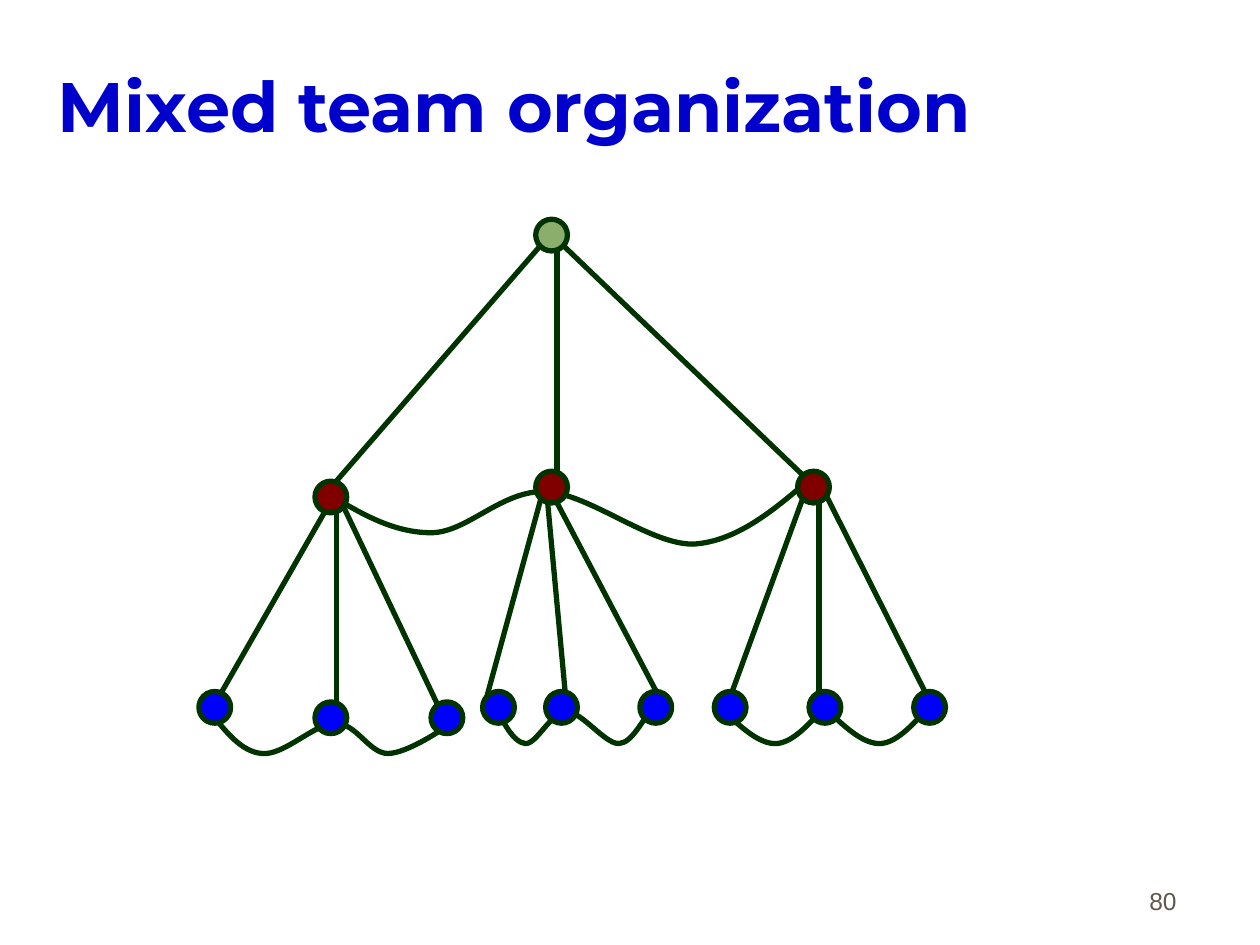
from dataclasses import dataclass

from lxml.etree import SubElement
from pptx import Presentation
from pptx.dml.color import RGBColor as RGB
from pptx.enum.shapes import MSO_CONNECTOR as Link, MSO_SHAPE as Shape
from pptx.enum.text import MSO_ANCHOR as Anchor, PP_ALIGN as Align
from pptx.oxml.ns import qn
from pptx.util import Cm, Pt


@dataclass(frozen=True)
class Theme:
    title: RGB = RGB(0x00, 0x00, 0xCC)
    number: RGB = RGB(0x5E, 0x57, 0x4E)
    line: RGB = RGB(0x00, 0x33, 0x00)
    lead: RGB = RGB(0x8B, 0xAE, 0x6C)
    senior: RGB = RGB(0x80, 0x00, 0x00)
    junior: RGB = RGB(0x00, 0x00, 0xFF)
    big: Pt = Pt(40)
    small: Pt = Pt(14)
    stroke: Pt = Pt(3)


theme = Theme()
deck = Presentation()
deck.slide_width, deck.slide_height = Cm(25.4), Cm(19.05)
slide = deck.slides.add_slide(deck.slide_layouts[6])
shapes = slide.shapes


def label(text, box, inset, anchor, gap):
    """Add a one-line text box and return its paragraph."""
    frame = shapes.add_textbox(*map(Cm, box)).text_frame
    frame.word_wrap = True
    frame.vertical_anchor = anchor
    frame.margin_left = frame.margin_right = Cm(inset)
    para = frame.paragraphs[0]
    para.text = text
    para.space_before = Pt(gap)
    return para


def curve(points):
    """Draw Bezier curves: a start, then two handles and an end for each."""
    start, *rest = [(Cm(x), Cm(y)) for x, y in points]
    pen = shapes.build_freeform(*start)
    pen.add_line_segments(rest, close=False)
    wave = pen.convert_to_shape()
    wave.shadow.inherit = False
    wave.fill.background()
    wave.line.color.rgb = theme.line
    wave.line.width = theme.stroke
    steps = list(wave.element.iter(qn("a:lnTo")))
    for i in range(0, len(steps), 3):
        bend, *more = steps[i:i + 3]
        bend.tag = qn("a:cubicBezTo")
        for step in more:
            bend.append(step[0])
            step.getparent().remove(step)


# Title
title = label("Mixed team organization", (1.12, 0.51, 21.59, 3.18),
              0.05, Anchor.MIDDLE, 9.9)
title.font.name = "Montserrat"
title.font.size = theme.big
title.font.bold = True
title.font.color.rgb = theme.title

# Reporting lines, by the point they fan out from
fans = [
    ((11, 4.83), [(6.78, 9.7)]),
    ((11.23, 4.62), [(11.23, 9.91)]),
    ((11.23, 4.83), [(16.31, 9.7)]),
    ((6.78, 9.91), [(4.24, 14.35), (6.78, 14.35), (8.89, 14.35)]),
    ((11, 9.7), [(9.73, 14.35), (11.43, 14.35), (13.34, 14.15)]),
    ((16.31, 9.7), [(14.61, 14.35)]),
    ((16.51, 9.91), [(16.51, 14.35)]),
    ((16.51, 9.7), [(18.85, 14.35)]),
]
for start, ends in fans:
    for end in ends:
        line = shapes.add_connector(Link.STRAIGHT, *map(Cm, start + end))
        line.line.color.rgb = theme.line
        line.line.width = theme.stroke
        SubElement(line.element.spPr, qn("a:effectLst"))

# Peer links
curve([(4.24, 14.35),
       (4.55, 14.76), (4.88, 15.16), (5.28, 15.19),
       (5.72, 15.24), (6.35, 14.58), (6.76, 14.58),
       (7.19, 14.58), (7.44, 15.19), (7.82, 15.19),
       (8.2, 15.19), (8.92, 14.71), (9.09, 14.58),
       (9.27, 14.43), (9.07, 14.4), (8.89, 14.35)])
curve([(9.96, 14.15),
       (10.13, 14.55), (10.34, 14.96), (10.59, 14.99),
       (10.82, 15.01), (11.1, 14.35), (11.43, 14.35),
       (11.73, 14.35), (12.19, 14.99), (12.47, 14.99),
       (12.75, 14.99), (12.98, 14.45), (13.11, 14.35)])
for left in (14.61, 16.71):
    curve([(left, 14.35),
           (left + 0.35, 14.68), (left + 0.71, 15.01), (left + 1.05, 14.99),
           (left + 1.4, 14.96), (left + 1.75, 14.55), (left + 2.1, 14.15)])
curve([(6.55, 9.91),
       (7.24, 10.34), (7.92, 10.74), (8.69, 10.74),
       (9.42, 10.74), (10.11, 9.88), (11, 9.91),
       (11.89, 9.96), (13.08, 10.97), (13.97, 10.97),
       (14.83, 10.92), (15.57, 10.31), (16.28, 9.7)])

# Team members, by rank
ranks = [
    (theme.senior, [(6.35, 9.7), (10.8, 9.5), (16.08, 9.5)]),
    (theme.junior, [(4.01, 13.94), (6.35, 14.15), (8.69, 14.15),
                    (9.73, 13.94), (11, 13.94), (12.9, 13.94),
                    (14.4, 13.94), (16.31, 13.94), (18.42, 13.94)]),
    (theme.lead, [(10.8, 4.42)]),
]
size = Cm(0.64)
for color, spots in ranks:
    for x, y in spots:
        dot = shapes.add_shape(Shape.OVAL, Cm(x), Cm(y), size, size)
        dot.shadow.inherit = False
        dot.fill.solid()
        dot.fill.fore_color.rgb = color
        dot.line.color.rgb = theme.line
        dot.line.width = theme.stroke

# Slide number
number = label("80", (18.69, 17.3, 5.28, 1.27), 0.25, Anchor.BOTTOM, 8.8)
number.alignment = Align.RIGHT
number.font.name = "Arial"
number.font.size = theme.small
number.font.color.rgb = theme.number

deck.save("out.pptx")
